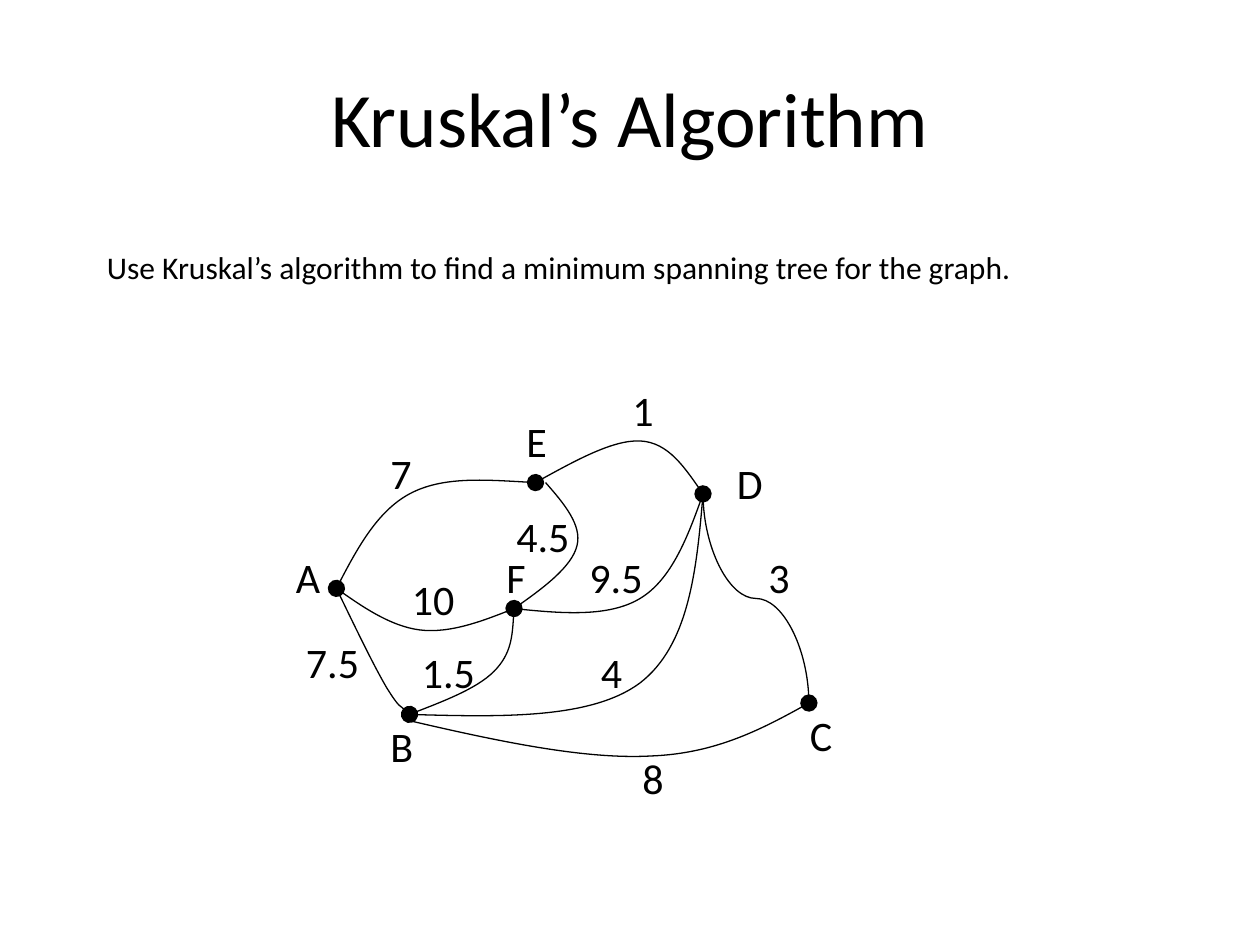
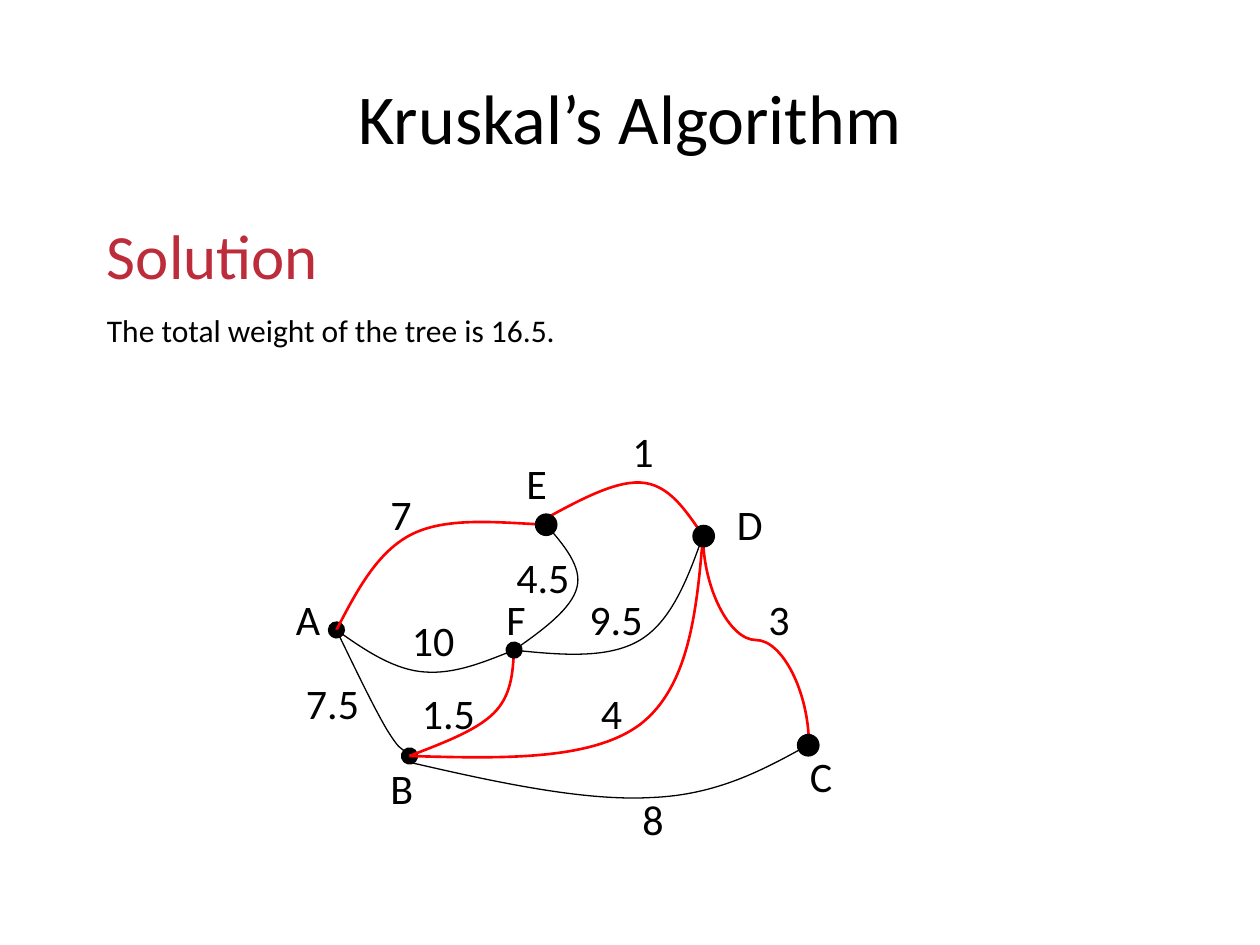
from dataclasses import dataclass

from lxml import etree
from pptx import Presentation
from pptx.dml.color import RGBColor
from pptx.enum.shapes import MSO_CONNECTOR, MSO_SHAPE
from pptx.enum.text import MSO_ANCHOR, MSO_AUTO_SIZE, PP_ALIGN
from pptx.oxml.ns import qn
from pptx.slide import Slide
from pptx.util import Inches, Pt

BLACK = RGBColor(0x00, 0x00, 0x00)
TREE_RED = RGBColor(0xFF, 0x00, 0x00)
HEADING_RED = RGBColor(0xBC, 0x2C, 0x3A)
FONT = "Calibri"
TITLE = "Kruskal’s Algorithm"
CURVE = MSO_CONNECTOR.CURVE
OVAL = MSO_SHAPE.OVAL
MIDDLE = MSO_ANCHOR.MIDDLE
TOP = MSO_ANCHOR.TOP
CENTER = PP_ALIGN.CENTER
LEFT = PP_ALIGN.LEFT
GROW = MSO_AUTO_SIZE.SHAPE_TO_FIT_TEXT
NO_RESIZE = MSO_AUTO_SIZE.NONE
QUARTER_TURN_BACK = 270 * 60000
LABEL_WIDTH, LABEL_HEIGHT = 1.67, 0.5
NODE_SIZE = 0.17
SOLUTION_DROP = 0.33

Point = tuple[float, float]
Ends = tuple[str, ...]
BOTH_ENDS: Ends = ("headEnd", "tailEnd")
FAR_END: Ends = ("tailEnd",)


@dataclass(frozen=True)
class Label:
    text: str
    left: float
    top: float


@dataclass(frozen=True)
class Edge:
    points: tuple[Point, ...]
    in_tree: bool = False
    problem_dots: Ends = ()
    solution_dots: Ends = ()


EDGES = (
    Edge(((2.67, 4.67), (2.82, 4.98), (2.97, 5.29), (3.07, 5.46),
          (3.17, 5.62), (3.22, 5.63), (3.25, 5.67)),
         problem_dots=BOTH_ENDS, solution_dots=BOTH_ENDS),
    Edge(((2.67, 4.67), (2.83, 4.36), (2.99, 4.06), (3.25, 3.92),
          (3.51, 3.78), (3.88, 3.81), (4.25, 3.83)),
         in_tree=True, problem_dots=FAR_END),
    Edge(((3.25, 5.67), (3.51, 5.57), (3.78, 5.47), (3.92, 5.33),
          (4.06, 5.19), (4.07, 5.01), (4.08, 4.83)),
         in_tree=True, problem_dots=FAR_END),
    Edge(((2.67, 4.67), (2.88, 4.82), (3.1, 4.97), (3.33, 5),
          (3.57, 5.03), (3.83, 4.93), (4.08, 4.83)), solution_dots=FAR_END),
    Edge(((4.25, 3.83), (4.56, 3.66), (4.86, 3.49), (5.08, 3.5),
          (5.31, 3.51), (5.44, 3.72), (5.58, 3.92)), in_tree=True),
    Edge(((4.08, 4.83), (4.31, 4.67), (4.54, 4.5), (4.58, 4.33),
          (4.62, 4.17), (4.48, 4), (4.33, 3.83))),
    Edge(((4.08, 4.83), (4.46, 4.87), (4.83, 4.9), (5.08, 4.75),
          (5.33, 4.6), (5.46, 4.26), (5.58, 3.92))),
    Edge(((3.25, 5.72), (3.94, 5.88), (4.64, 6.03), (5.17, 6),
          (5.69, 5.98), (6.06, 5.78), (6.42, 5.58))),
    Edge(((3.25, 5.67), (3.97, 5.69), (4.69, 5.71), (5.08, 5.42),
          (5.47, 5.12), (5.53, 4.52), (5.58, 3.92)), in_tree=True),
)

EDGE_D_TO_C = Edge(((6.83, 4.33), (5.17, 5.17)), in_tree=True, problem_dots=BOTH_ENDS)

LABELS = (
    Label("A", 2.25, 4.33),
    Label("C", 6.33, 5.58),
    Label("B", 3, 5.67),
    Label("D", 5.75, 3.58),
    Label("E", 4.08, 3.25),
    Label("F", 3.92, 4.33),
    Label("1", 4.92, 3),
    Label("7", 3, 3.5),
    Label("10", 3.17, 4.5),
    Label("7.5", 2.33, 5),
    Label("8", 5, 5.92),
    Label("3", 6, 4.33),
    Label("4", 4.67, 5.08),
    Label("9.5", 4.58, 4.33),
    Label("4.5", 4, 4),
    Label("1.5", 3.25, 5.08),
)

SOLUTION_NODES: tuple[Point, ...] = ((5.5, 4.17), (6.33, 5.83), (4.25, 4.08))


def add_text(page: Slide, text: str, left: float, top: float, width: float, height: float,
             size: float, color: RGBColor = BLACK, is_title: bool = False) -> None:
    box = page.shapes.add_textbox(Inches(left), Inches(top), Inches(width), Inches(height))
    frame = box.text_frame
    frame.word_wrap = True
    frame.auto_size = NO_RESIZE if is_title else GROW
    frame.vertical_anchor = MIDDLE if is_title else TOP
    frame.text = text
    para = frame.paragraphs[0]
    para.alignment = CENTER if is_title else LEFT
    span = para.runs[0]
    span.font.name = FONT
    span.font.size = Pt(size)
    span.font.color.rgb = color


def style_edge(shape, edge: Edge, solved: bool) -> None:
    highlighted = solved and edge.in_tree
    shape.line.color.rgb = TREE_RED if highlighted else BLACK
    shape.line.width = Pt(1.5 if highlighted else 0.75)
    line = shape.element.spPr.find(qn("a:ln"))
    for end in edge.solution_dots if solved else edge.problem_dots:
        etree.SubElement(line, qn(f"a:{end}"), type="oval", w="lg", len="lg")


def add_curved_edge(page: Slide, edge: Edge, drop: float, solved: bool) -> None:
    points = [(Inches(x), Inches(y + drop)) for x, y in edge.points]
    builder = page.shapes.build_freeform(*points[0])
    builder.add_line_segments(points[1:], close=False)
    shape = builder.convert_to_shape()
    path = shape.element.spPr.find(".//" + qn("a:path"))
    segments = path.findall(qn("a:lnTo"))
    for first in range(0, len(segments), 3):
        curve = etree.SubElement(path, qn("a:cubicBezTo"))
        for segment in segments[first:first + 3]:
            curve.append(segment[0])
            path.remove(segment)
    shape.fill.background()
    style_edge(shape, edge, solved)
    shape.shadow.inherit = False


def add_connector_edge(page: Slide, edge: Edge, drop: float, solved: bool) -> None:
    (start_x, start_y), (end_x, end_y) = edge.points
    connector = page.shapes.add_connector(
        CURVE, Inches(start_x), Inches(start_y + drop), Inches(end_x), Inches(end_y + drop))
    properties = connector.element.spPr
    properties.xfrm.set("rot", str(QUARTER_TURN_BACK))
    style_edge(connector, edge, solved)
    etree.SubElement(properties, qn("a:effectLst"))


def add_node(page: Slide, left: float, top: float) -> None:
    node = page.shapes.add_shape(
        OVAL, Inches(left), Inches(top), Inches(NODE_SIZE), Inches(NODE_SIZE))
    node.shadow.inherit = False
    node.fill.solid()
    node.fill.fore_color.rgb = BLACK
    node.line.color.rgb = BLACK
    node.line.width = Pt(0.75)


def add_graph(page: Slide, solved: bool) -> None:
    drop = SOLUTION_DROP if solved else 0
    for edge in EDGES:
        add_curved_edge(page, edge, drop, solved)
    add_connector_edge(page, EDGE_D_TO_C, drop, solved)
    for label in LABELS:
        add_text(page, label.text, label.left, label.top + drop,
                 LABEL_WIDTH, LABEL_HEIGHT, 24)


def add_page(deck, title_size: float) -> Slide:
    page = deck.slides.add_slide(deck.slide_layouts[6])
    add_text(page, TITLE, 0.5, 0.3, 9, 1.25, title_size, is_title=True)
    return page


def main() -> None:
    deck = Presentation()
    deck.slide_width = Inches(10)
    deck.slide_height = Inches(7.5)

    problem = add_page(deck, 44)
    add_graph(problem, solved=False)
    add_text(problem, "Use Kruskal’s algorithm to find a minimum spanning tree for the graph.",
             0.75, 1.92, 8, 1.03, 18)

    solution = add_page(deck, 40)
    add_text(solution, "Solution", 0.75, 1.67, 6.75, 0.7, 36, HEADING_RED)
    add_graph(solution, solved=True)
    add_text(solution, "The total weight of the tree is 16.5.", 0.75, 2.42, 8.08, 0.57, 18)
    for left, top in SOLUTION_NODES:
        add_node(solution, left, top)

    deck.save("out.pptx")


if __name__ == "__main__":
    main()
